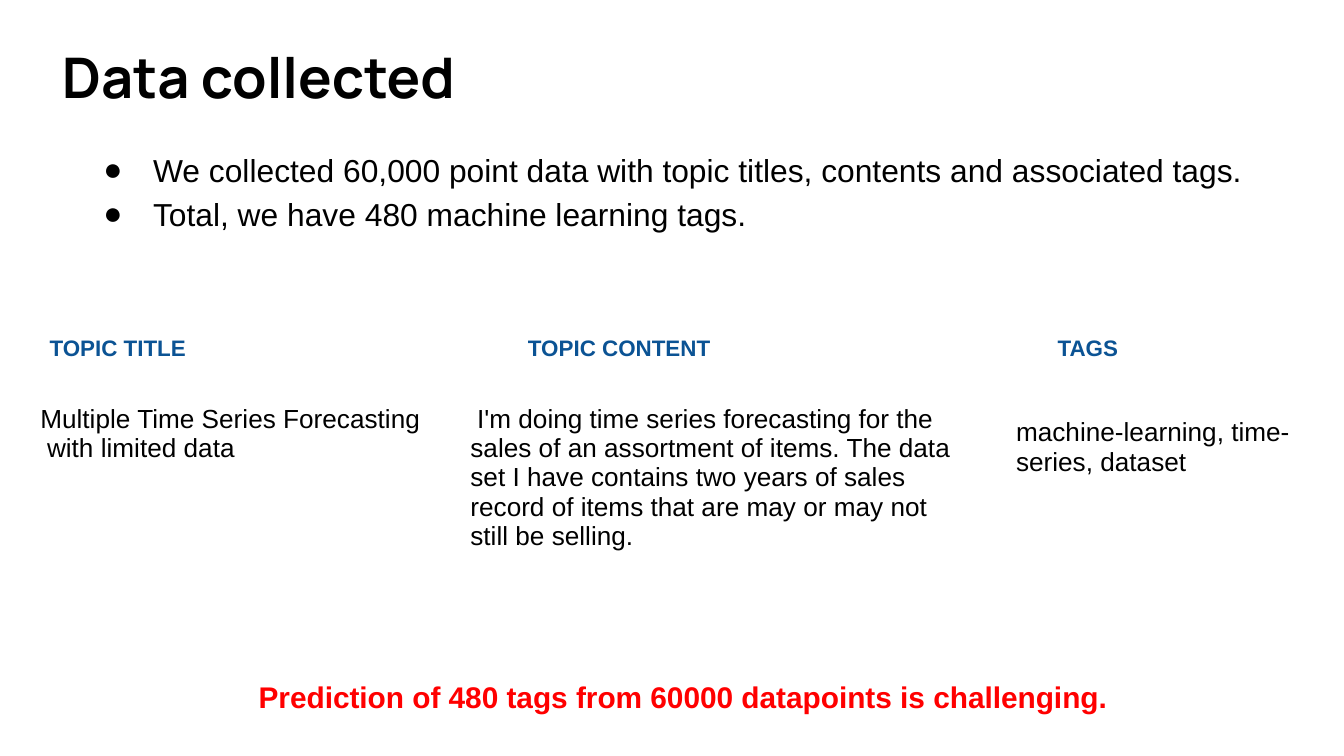
from lxml import etree
from pptx import Presentation
from pptx.dml.color import RGBColor
from pptx.enum.text import MSO_ANCHOR, PP_ALIGN
from pptx.oxml.ns import qn
from pptx.util import Inches, Pt

COLORS = {"black": "000000", "blue": "0B5394", "red": "FF0000"}
MARGIN = 0.1


def add_text_box(slide, box, left_inset=MARGIN, right_inset=MARGIN):
    shape = slide.shapes.add_textbox(*[Inches(value) for value in box])
    frame = shape.text_frame
    frame.word_wrap = True
    frame.vertical_anchor = MSO_ANCHOR.TOP
    frame.margin_left = Inches(left_inset)
    frame.margin_right = Inches(right_inset)
    frame.margin_top = frame.margin_bottom = Inches(MARGIN)
    return frame


def next_paragraph(frame, index):
    return frame.paragraphs[0] if index == 0 else frame.add_paragraph()


def add_run(paragraph, text, size, color="black", bold=False, font="Arial"):
    run = paragraph.add_run()
    run.text = text
    run.font.name = font
    run.font.size = Pt(size)
    run.font.bold = bold
    run.font.color.rgb = RGBColor.from_string(COLORS[color])


def set_indent(paragraph, left, first):
    properties = paragraph._p.get_or_add_pPr()
    properties.set("marL", str(Inches(left)))
    properties.set("indent", str(Inches(first)))


def add_bullet(paragraph):
    properties = paragraph._p.get_or_add_pPr()
    color = etree.SubElement(properties, qn("a:buClr"))
    etree.SubElement(color, qn("a:srgbClr"), val=COLORS["black"])
    etree.SubElement(properties, qn("a:buFont"), typeface="Arial")
    etree.SubElement(properties, qn("a:buChar"), char="●")


def add_tab_stops(paragraph, positions):
    stops = etree.SubElement(paragraph._p.get_or_add_pPr(), qn("a:tabLst"))
    for position in positions:
        etree.SubElement(stops, qn("a:tab"), pos=str(Inches(position)), algn="l")


def add_title(slide, box, text):
    frame = add_text_box(slide, box, left_inset=0.19)
    add_run(frame.paragraphs[0], text, 30, bold=True, font="Manrope")


def add_bullets(slide, box, lines):
    frame = add_text_box(slide, box)
    for index, line in enumerate(lines):
        paragraph = next_paragraph(frame, index)
        paragraph.line_spacing = 1.15
        set_indent(paragraph, 0.5, -0.37)
        add_bullet(paragraph)
        add_run(paragraph, line, 17)


def add_column_headings(slide, box, headings, tab_positions):
    paragraph = add_text_box(slide, box).paragraphs[0]
    add_tab_stops(paragraph, tab_positions)
    add_run(paragraph, "\t".join(headings), 12, "blue", bold=True)


def add_example_table(slide, box, lines):
    table = slide.shapes.add_table(1, 1, *[Inches(value) for value in box]).table
    table.first_row = False
    table.horz_banding = False
    cell = table.cell(0, 0)
    cell.fill.background()
    cell.margin_left = cell.margin_right = Inches(MARGIN)
    cell.margin_top = cell.margin_bottom = Inches(MARGIN)
    for index, (text, left, first) in enumerate(lines):
        paragraph = next_paragraph(cell.text_frame, index)
        set_indent(paragraph, left, first)
        add_run(paragraph, text, 14)


def add_conclusion(slide, box, text):
    paragraph = add_text_box(slide, box, right_inset=0.17).paragraphs[0]
    paragraph.alignment = PP_ALIGN.CENTER
    paragraph.line_spacing = 1.2
    add_run(paragraph, text, 16, "red", bold=True)


def main():
    presentation = Presentation()
    presentation.slide_width = Inches(10)
    presentation.slide_height = presentation.slide_width * 9 // 16
    slide = presentation.slides.add_slide(presentation.slide_layouts[6])

    add_title(slide, (0.27, 0.22, 9.32, 0.63), "Data collected")
    add_bullets(slide, (0.54, 0.98, 9.85, 3.28), [
        "We collected 60,000 point data with topic titles, contents and associated tags.",
        "Total, we have 480 machine learning tags.",
    ])
    add_conclusion(slide, (0.96, 4.9, 8.32, 0.53),
                   "Prediction of 480 tags from 60000 datapoints is challenging.")

    examples = [
        ((0.2, 2.91, 3.05, 0.2), [
            ("Multiple Time Series Forecasting", 0, 0),
            ("with limited data", 0.05, 0),
        ]),
        ((3.4, 2.91, 3.88, 0.89), [
            ("I'm doing time series forecasting for the sales of an assortment of items. "
             "The data set I have contains two years of sales record of items that are "
             "may or may not still be selling.", 0, 0.05),
        ]),
        ((7.46, 3.01, 2.29, 0.69), [
            ("machine-learning, time-series, dataset", 0, 0),
        ]),
    ]
    for box, lines in examples:
        add_example_table(slide, box, lines)
    add_column_headings(slide, (0.27, 2.39, 8.92, 0.53),
                        ["TOPIC TITLE", "TOPIC CONTENT", "TAGS"], [3.56, 7.5])

    presentation.save("out.pptx")


if __name__ == "__main__":
    main()
